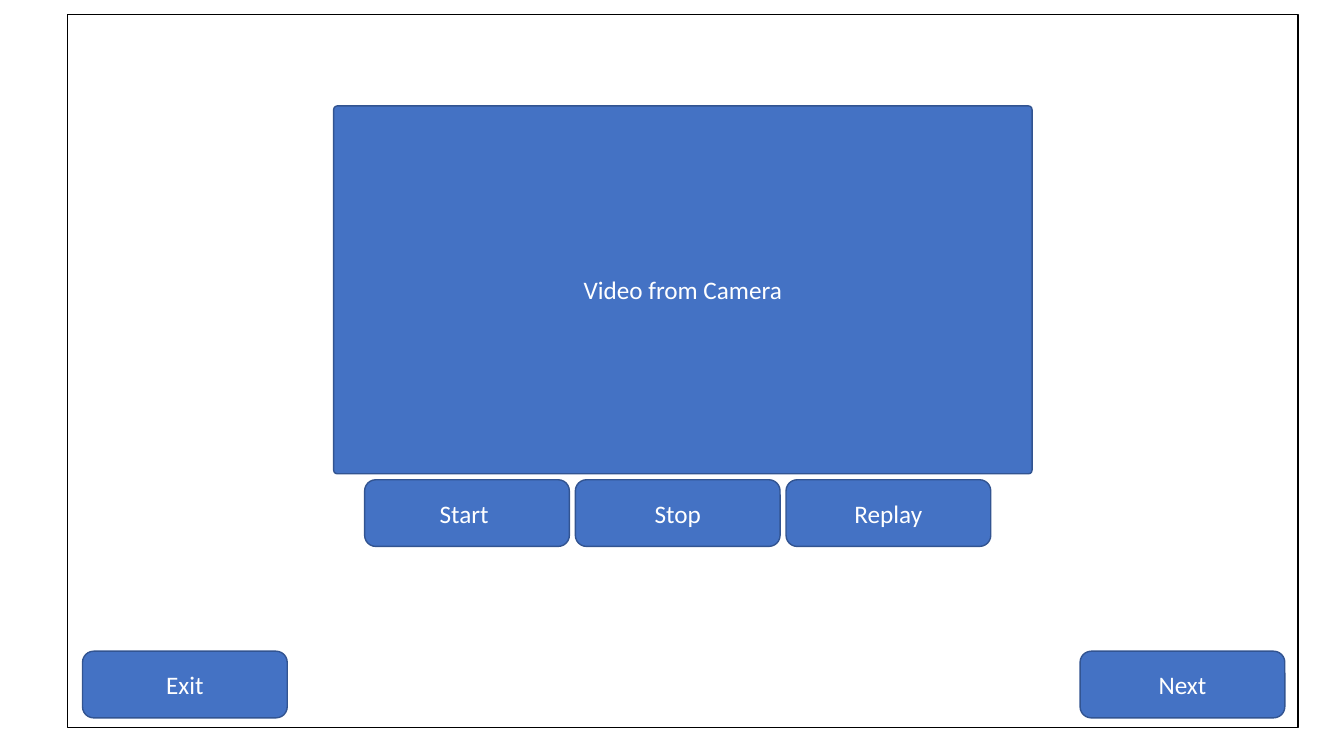
from pptx import Presentation
from pptx.dml.color import RGBColor
from pptx.enum.shapes import MSO_SHAPE
from pptx.enum.text import MSO_ANCHOR, PP_ALIGN
from pptx.util import Cm, Pt

WHITE = RGBColor(0xFF, 0xFF, 0xFF)
BLACK = RGBColor(0x00, 0x00, 0x00)
BLUE = RGBColor(0x44, 0x72, 0xC4)
DARK_BLUE = RGBColor(0x32, 0x54, 0x91)

BUTTON_WIDTH, BUTTON_HEIGHT = Cm(5.16), Cm(1.68)


def add_panel(slide, preset, box, fill, outline):
    panel = slide.shapes.add_shape(preset, *box)
    panel.shadow.inherit = False
    panel.fill.solid()
    panel.fill.fore_color.rgb = fill
    panel.line.color.rgb = outline
    panel.line.width = Pt(1)
    return panel


def add_labelled(slide, label, box):
    panel = add_panel(slide, MSO_SHAPE.ROUNDED_RECTANGLE, box, BLUE, DARK_BLUE)
    panel.text_frame.text = label
    panel.text_frame.vertical_anchor = MSO_ANCHOR.MIDDLE
    caption = panel.text_frame.paragraphs[0]
    caption.alignment = PP_ALIGN.CENTER
    caption.font.name = "Calibri"
    caption.font.size = Pt(18)
    caption.font.color.rgb = WHITE
    return panel


def add_button(slide, label, left, top):
    add_labelled(slide, label, (left, top, BUTTON_WIDTH, BUTTON_HEIGHT))


def add_player(slide, box):
    left, top, width, height = box
    video = add_labelled(slide, "Video from Camera", box)
    video.adjustments[0] = 0.01
    for index, label in enumerate(("Start ", "Stop", "Replay")):
        add_button(slide, label,
                   left + Cm(0.78) + index * (BUTTON_WIDTH + Cm(0.15)),
                   top + height + Cm(0.15))


def add_navigation(slide, box):
    left, top, width, height = box
    button_top = top + height - BUTTON_HEIGHT - Cm(0.25)
    add_button(slide, "Exit", left + Cm(0.38), button_top)
    add_button(slide, "Next", left + width - BUTTON_WIDTH - Cm(0.33), button_top)


def add_camera_screen(slide, box):
    left, top, width, height = box
    add_panel(slide, MSO_SHAPE.RECTANGLE, box, WHITE, BLACK)
    add_player(slide, (left + Cm(6.71), top + Cm(2.31), Cm(17.6), Cm(9.27)))
    add_navigation(slide, box)


presentation = Presentation()
presentation.slide_width = Cm(33.87)
presentation.slide_height = Cm(19.05)
camera_slide = presentation.slides.add_slide(presentation.slide_layouts[6])
add_camera_screen(camera_slide, (Cm(1.7), Cm(0.36), Cm(31.01), Cm(17.98)))
presentation.save("out.pptx")
